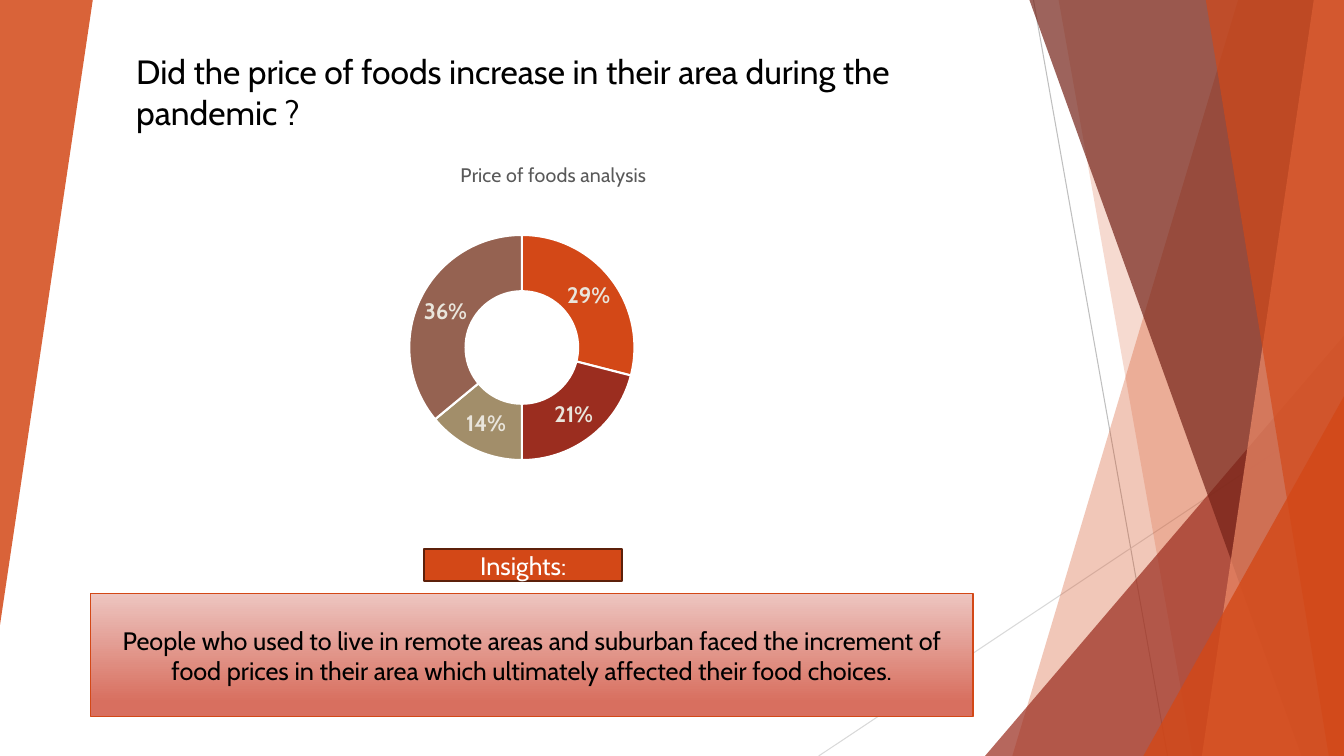
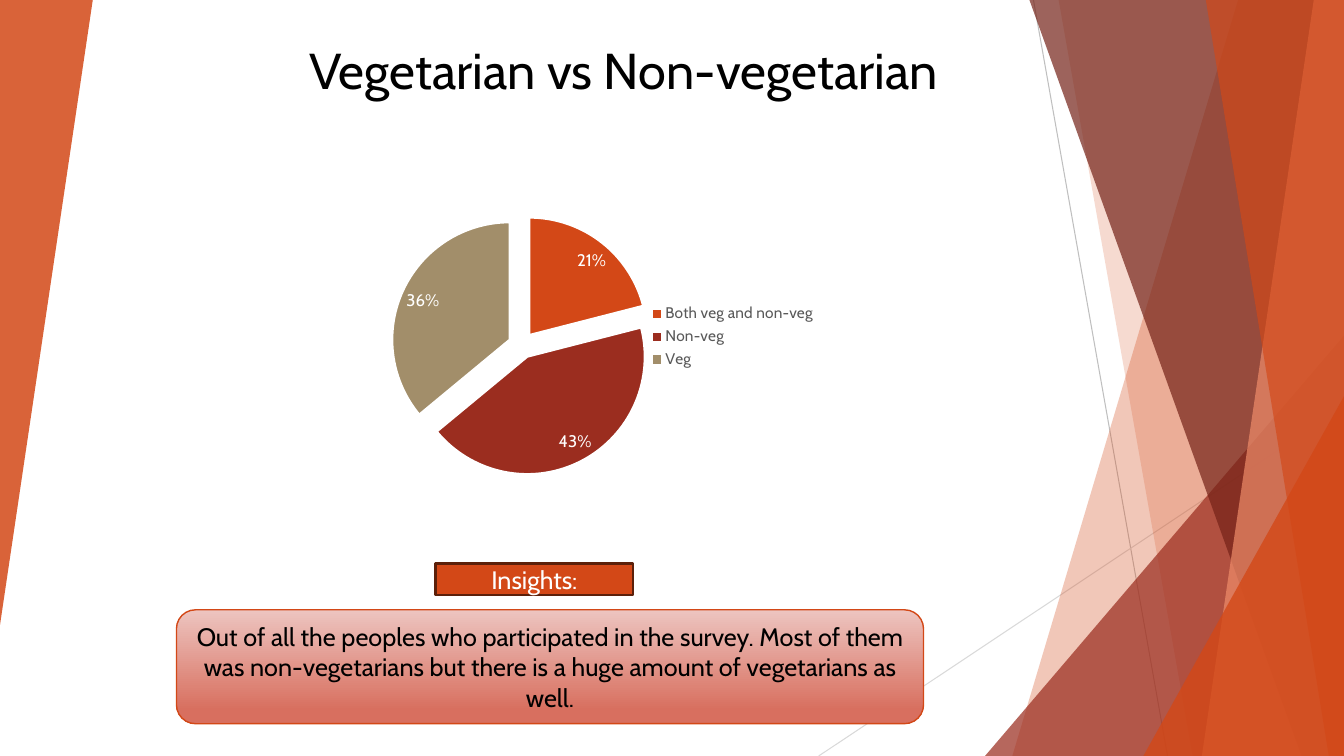
from lxml.etree import SubElement
from pptx import Presentation
from pptx.chart.data import CategoryChartData
from pptx.dml.color import RGBColor
from pptx.enum.chart import XL_CHART_TYPE, XL_LABEL_POSITION, XL_LEGEND_POSITION
from pptx.enum.shapes import MSO_CONNECTOR, MSO_SHAPE
from pptx.enum.text import MSO_ANCHOR, MSO_AUTO_SIZE, PP_ALIGN
from pptx.oxml import parse_xml
from pptx.oxml.ns import nsdecls, qn
from pptx.util import Inches, Pt

FONT = "Cabin"
ORANGE, RED, SAND, BROWN = "D34817", "9B2D1F", "A28E6A", "956251"
BLACK, WHITE, GRAY = "000000", "FFFFFF", "595959"
WIDTH, HEIGHT = 13.33, 7.5


def rgb(hex_color):
    return RGBColor.from_string(hex_color)


def style_font(font, size, color, bold=False):
    for attribute, value in {"name": FONT, "size": Pt(size), "bold": bold}.items():
        setattr(font, attribute, value)
    font.color.rgb = rgb(color)


prs = Presentation()
prs.slide_width, prs.slide_height = Inches(WIDTH), Inches(HEIGHT)
title_only = prs.slide_layouts[5]

questions = [
    {
        "title": "Did the price of foods increase in their area during the pandemic ?",
        "title_box": (1.25, -0.44, 8.49, 1.8),
        "title_size": 24,
        "title_align": PP_ALIGN.LEFT,
        "chart_type": XL_CHART_TYPE.DOUGHNUT,
        "chart_box": (3.25, 1.44, 4.48, 3.48),
        "chart_title": "Price of foods analysis",
        "plot_area": (0.175, 0.256, 0.51, 0.642),
        "answers": {"1": 29, "2": 21, "3": 14, "4": 36},
        "label_font": (16, "E9E5DC", True),
        "heading_at": (4.21, 5.45),
        "insight": "People who used to live in remote areas and suburban faced the "
                   "increment of food prices in their area which ultimately affected "
                   "their food choices.",
        "insight_shape": MSO_SHAPE.RECTANGLE,
        "insight_box": (0.9, 5.89, 8.75, 1.22),
    },
    {
        "title": "Vegetarian vs Non-vegetarian",
        "title_box": (0.91, 0.34, 8.49, 0.7),
        "title_size": 36,
        "title_align": PP_ALIGN.RIGHT,
        "chart_type": XL_CHART_TYPE.PIE,
        "chart_box": (2.92, 1.78, 5.28, 3.12),
        "chart_title": None,
        "plot_area": (0.178, 0.113, 0.497, 0.829),
        "answers": {"Both veg and non-veg": 21, "Non-veg": 43, "Veg": 36},
        "label_font": (12, WHITE),
        "heading_at": (4.32, 5.59),
        "insight": "Out of all the peoples who participated in the survey. Most of them "
                   "was non-vegetarians but there is a huge amount of vegetarians as well.",
        "insight_shape": MSO_SHAPE.ROUNDED_RECTANGLE,
        "insight_box": (1.75, 6.05, 7.41, 1.13),
    },
]
slides = [prs.slides.add_slide(title_only) for question in questions]

# Shared backdrop: thin lines, then translucent panels
backdrop = slides[0].shapes.add_group_shape()
for x1, y1, x2, y2, color in [(10.25, 0, 11.58, HEIGHT, "BFBFBF"),
                              (WIDTH, 4.03, 8.12, HEIGHT, "D9D9D9")]:
    ray = backdrop.shapes.add_connector(
        MSO_CONNECTOR.STRAIGHT, *map(Inches, (x1, y1, x2, y2)))
    ray.line.color.rgb = rgb(color)
    ray.line.width = Pt(0.75)
    SubElement(ray.element.spPr, qn("a:effectLst"))

# A ribbon is (top x, bottom x) up to the right edge; a triangle is (box, rotation)
panels = [
    ((12.28, 10.04), ORANGE, 30),
    ((10.5, 11.83), ORANGE, 20),
    ((9.77, 3.33, 3.56, 4.17, 0), RED, 72),
    ((10.21, 12.91), "742217", 70),
    ((13.03, 11.92), "EF8C6A", 70),
    ((11.96, 13.18), ORANGE, 65),
    ((11.34, 3.93, 1.99, 3.57, 0), ORANGE, 80),
    ((0, 0, 0.92, 6.2, 180), ORANGE, 85),
]
for outline, color, opacity in panels:
    if len(outline) == 2:
        top_x, bottom_x = map(Inches, outline)
        ribbon = backdrop.shapes.build_freeform(top_x, 0)
        ribbon.add_line_segments([(Inches(WIDTH), 0), (Inches(WIDTH), Inches(HEIGHT)),
                                  (bottom_x, Inches(HEIGHT))], close=True)
        panel = ribbon.convert_to_shape()
    else:
        *box, rotation = outline
        panel = backdrop.shapes.add_shape(MSO_SHAPE.ISOSCELES_TRIANGLE, *map(Inches, box))
        panel.adjustments[0] = 1
        panel.rotation = rotation
    panel.shadow.inherit = False
    panel.line.fill.background()
    panel.fill.solid()
    panel.fill.fore_color.rgb = rgb(color)
    fill_color = panel.element.spPr.find(".//" + qn("a:srgbClr"))
    SubElement(fill_color, qn("a:alpha"), val=str(opacity * 1000))

# The layout carries the backdrop for both slides
for number, properties in enumerate(backdrop.element.iter(qn("p:cNvPr")), 100):
    properties.set("id", str(number))
title_only.shapes.element.insert(2, backdrop.element)

for slide, question in zip(slides, questions):
    # Title
    title = slide.shapes.title
    for side, length in zip(("left", "top", "width", "height"), question["title_box"]):
        setattr(title, side, Inches(length))
    title.text_frame.text = question["title"]
    title_format = {"word_wrap": True, "auto_size": MSO_AUTO_SIZE.NONE,
                    "vertical_anchor": MSO_ANCHOR.BOTTOM}
    for attribute, value in title_format.items():
        setattr(title.text_frame, attribute, value)
    heading_line = title.text_frame.paragraphs[0]
    heading_line.alignment = question["title_align"]
    style_font(heading_line.runs[0].font, question["title_size"], BLACK)

    # Survey chart
    survey = CategoryChartData()
    survey.categories = list(question["answers"])
    survey.add_series("Series 1", list(question["answers"].values()))
    chart = slide.shapes.add_chart(
        question["chart_type"], *map(Inches, question["chart_box"]), survey).chart
    style_font(chart.font, 10, BLACK)
    is_pie = question["chart_type"] == XL_CHART_TYPE.PIE
    chart.has_title = not is_pie
    chart.has_legend = is_pie
    if chart.has_title:
        chart.chart_title.text_frame.text = question["chart_title"]
        style_font(chart.chart_title.text_frame.paragraphs[0].runs[0].font, 14, GRAY)
    if chart.has_legend:
        chart.legend.position = XL_LEGEND_POSITION.RIGHT
        chart.legend.include_in_layout = False
        style_font(chart.legend.font, 11, GRAY)

    # Slices and percentages
    plot = chart.plots[0]
    plot.vary_by_categories = True
    plot.has_data_labels = True
    percentages = plot.data_labels
    label_format = {"show_percentage": True, "show_value": False,
                    "number_format": "0%", "number_format_is_linked": False}
    for attribute, value in label_format.items():
        setattr(percentages, attribute, value)
    style_font(percentages.font, *question["label_font"])
    answers = plot.series[0]
    for index, color in zip(range(len(question["answers"])), (ORANGE, RED, SAND, BROWN)):
        piece = answers.points[index].format
        piece.fill.solid()
        piece.fill.fore_color.rgb = rgb(color)
        piece.line.color.rgb = rgb(WHITE)
        piece.line.width = Pt(1.5)
    if is_pie:
        percentages.position = XL_LABEL_POSITION.BEST_FIT
        explosion = parse_xml(f'<c:explosion {nsdecls("c")} val="11"/>')
        answers._element.find(qn("c:dPt")).addprevious(explosion)

    # Fixed place of the plot inside the chart
    plot_area = chart.element.find(".//" + qn("c:plotArea"))
    for automatic in plot_area.findall(qn("c:layout")):
        plot_area.remove(automatic)
    x, y, w, h = question["plot_area"]
    plot_area.insert(0, parse_xml(
        f'<c:layout {nsdecls("c")}><c:manualLayout><c:layoutTarget val="inner"/>'
        f'<c:xMode val="edge"/><c:yMode val="edge"/><c:x val="{x}"/><c:y val="{y}"/>'
        f'<c:w val="{w}"/><c:h val="{h}"/></c:manualLayout></c:layout>'))

    # Insight and its heading
    insight = slide.shapes.add_shape(
        question["insight_shape"], *map(Inches, question["insight_box"]))
    insight.fill.gradient()
    insight.fill.gradient_angle = 270
    for stop, position, color in zip(insight.fill.gradient_stops, (0, 0.88),
                                     ("EDC5C0", "D86F5F")):
        stop.position = position
        stop.color.rgb = rgb(color)
    heading = slide.shapes.add_shape(
        MSO_SHAPE.RECTANGLE, *map(Inches, (*question["heading_at"], 1.96, 0.31)))
    heading.fill.solid()
    heading.fill.fore_color.rgb = rgb(ORANGE)
    for box, text, text_color, line_color, line_width in [
            (insight, question["insight"], BLACK, ORANGE, 1),
            (heading, "Insights:", WHITE, "5C200A", 1.5)]:
        box.shadow.inherit = False
        box.line.color.rgb = rgb(line_color)
        box.line.width = Pt(line_width)
        box.text_frame.text = text
        box.text_frame.word_wrap = True
        box.text_frame.vertical_anchor = MSO_ANCHOR.MIDDLE
        paragraph = box.text_frame.paragraphs[0]
        paragraph.alignment = PP_ALIGN.CENTER
        style_font(paragraph.runs[0].font, 18, text_color)

prs.save("out.pptx")
